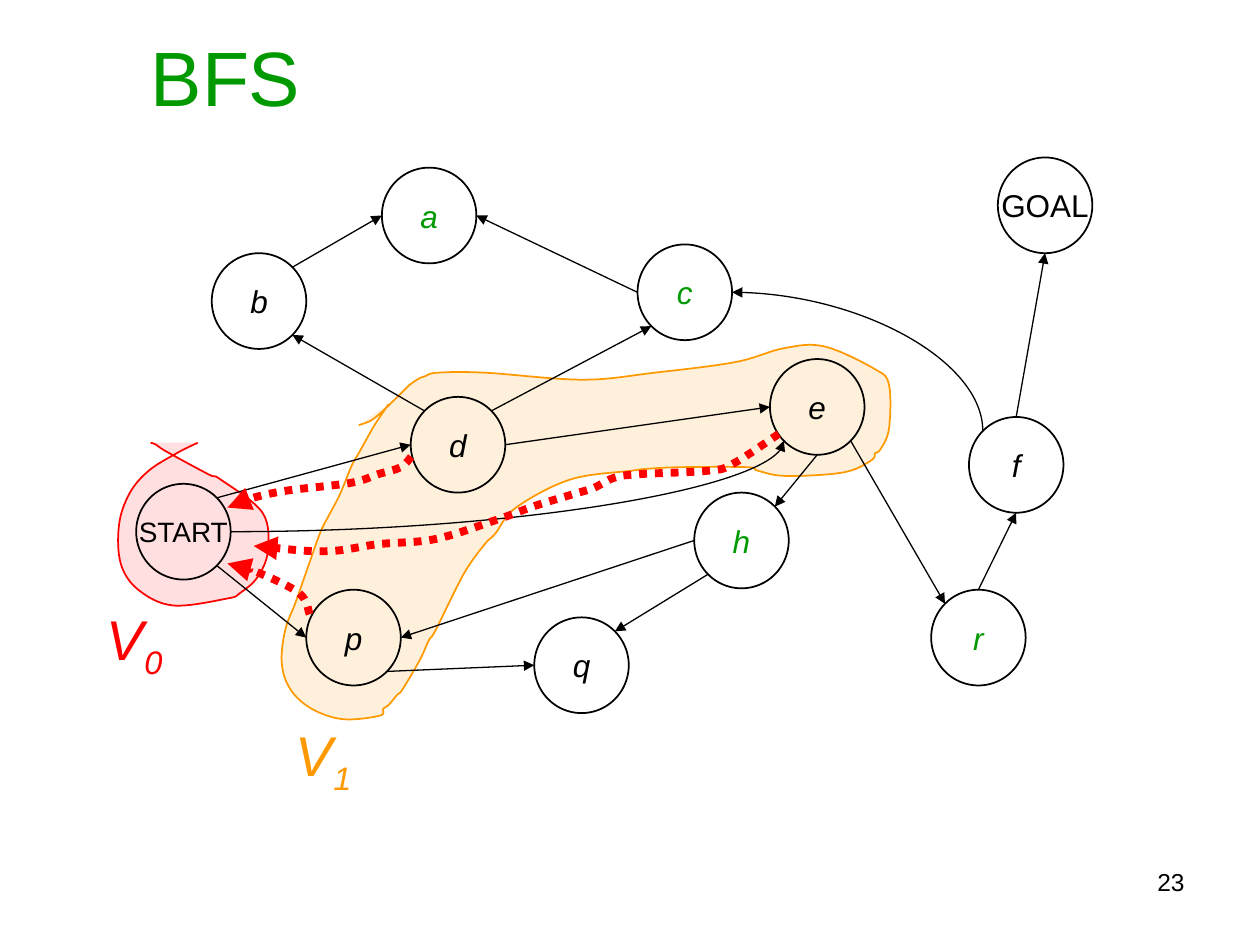
from math import cos, radians, sin

from lxml.etree import SubElement
from pptx import Presentation
from pptx.dml.color import RGBColor
from pptx.enum.dml import MSO_LINE
from pptx.enum.shapes import MSO_CONNECTOR as Link, MSO_SHAPE as Preset
from pptx.enum.text import MSO_ANCHOR as Anchor, PP_ALIGN as Align
from pptx.oxml.ns import qn
from pptx.util import Pt

BLACK = RGBColor(0x00, 0x00, 0x00)
GREEN = RGBColor(0x00, 0x99, 0x00)
RED = RGBColor(0xFF, 0x00, 0x00)
ORANGE = RGBColor(0xFF, 0x99, 0x00)
PALE_RED = RGBColor(0xFF, 0xDF, 0xDF)
PALE_ORANGE = RGBColor(0xFF, 0xF0, 0xDB)


def add_curve(shapes, knots, color, width):
    points = [(Pt(x), Pt(y)) for x, y in knots]
    builder = shapes.build_freeform(*points[0])
    builder.add_line_segments(points[1:], close=False)
    curve = builder.convert_to_shape()
    curve.shadow.inherit = False
    curve.fill.background()
    curve.line.color.rgb = color
    curve.line.width = Pt(width)
    outline = next(curve._element.iter(qn("a:path")))
    spots = [(int(pt.get("x")), int(pt.get("y"))) for pt in outline.iter(qn("a:pt"))]
    spots = [spots[0], *spots, spots[-1]]
    for segment in outline.findall(qn("a:lnTo")):
        outline.remove(segment)
    for before, start, end, after in zip(spots, spots[1:], spots[2:], spots[3:]):
        leave = [s + (e - b) / 6 for b, s, e in zip(before, start, end)]
        arrive = [e - (a - s) / 6 for s, e, a in zip(start, end, after)]
        bezier = SubElement(outline, qn("a:cubicBezTo"))
        for x, y in (leave, arrive, end):
            SubElement(bezier, qn("a:pt"), x=str(round(x)), y=str(round(y)))
    return curve


def write(box, texts, size, color, align, anchor, wrap=True, italic=False):
    frame = box.text_frame
    frame.word_wrap = wrap
    frame.vertical_anchor = anchor
    para = frame.paragraphs[0]
    para.alignment = align
    look = {"name": "Arial", "size": Pt(size), "italic": italic}
    for text in texts:
        span = para.add_run()
        span.text = text
        for key, value in look.items():
            setattr(span.font, key, value)
        span.font.color.rgb = color
    return para


deck = Presentation()
deck.slide_width, deck.slide_height = Pt(720), Pt(540)
page = deck.slides.add_slide(deck.slide_layouts[5])
shapes = page.shapes

title = shapes.title
place = {"left": 12, "top": 6, "width": 234, "height": 74}
for key, value in place.items():
    setattr(title, key, Pt(value))
write(title, ["BFS"], 44, GREEN, Align.CENTER, Anchor.MIDDLE)

level_one = [
    (222, 231), (214, 243), (210, 250), (205, 259), (201, 266), (194, 283),
    (185, 300), (182, 307), (176, 324), (169, 344), (163, 360), (161, 379),
    (166, 394), (178, 405), (196, 411), (217, 409), (219, 405), (222, 403),
    (227, 397), (230, 394), (240, 377), (245, 366), (249, 360), (265, 328),
    (277, 311), (283, 305), (295, 290), (326, 274), (361, 269), (369, 268),
    (389, 267), (427, 267), (433, 269), (449, 272), (482, 270), (498, 263),
    (500, 259), (503, 257), (508, 245), (508, 220), (500, 211), (471, 198),
    (448, 199), (420, 207), (374, 213), (333, 217), (277, 213), (250, 213),
    (243, 215), (240, 216), (234, 220), (229, 225), (214, 239), (205, 243),
]
level_zero = [
    (113, 253), (101, 259), (85, 269), (74, 282), (68, 300), (69, 322),
    (79, 337), (99, 346), (130, 342), (137, 339), (147, 330), (153, 315),
    (150, 293), (126, 274), (119, 271), (95, 258), (89, 254), (86, 253),
]
for knots, fill, outline_color in (
    (level_one, PALE_ORANGE, ORANGE),
    (level_zero, PALE_RED, RED),
):
    region = add_curve(shapes, knots, outline_color, 1)
    region.fill.solid()
    region.fill.fore_color.rgb = fill

node_width, node_height = 54, 54.7
nodes = {
    "START": (77.8, 276.5), "GOAL": (570.2, 90), "d": (234.7, 226.8),
    "b": (121, 144.7), "p": (175, 337), "q": (305.3, 352.8),
    "c": (364.3, 139.7), "e": (440, 205.2), "h": (396.7, 281.5),
    "a": (218.2, 95.8), "f": (553.7, 238.3), "r": (532.1, 337),
}
for name, (left, top) in nodes.items():
    node = shapes.add_shape(
        Preset.FLOWCHART_CONNECTOR, Pt(left), Pt(top), Pt(node_width), Pt(node_height))
    node.shadow.inherit = False
    node.fill.background()
    node.line.color.rgb = BLACK
    node.line.width = Pt(1)
    color = GREEN if name in "achr" else BLACK
    size = 16 if name == "START" else 18
    write(node, [name], size, color, Align.CENTER, Anchor.MIDDLE,
          wrap=False, italic=len(name) == 1)

compass = {side: radians(45 * step) for step, side in
           enumerate(["E", "SE", "S", "SW", "W", "NW", "N", "NE"])}
edges = [
    ("START", "SE", "p", "W"), ("p", "SE", "q", "W"), ("h", "SW", "q", "NE"),
    ("h", "W", "p", "E"), ("e", "S", "h", "NE"), ("e", "SE", "r", "NW"),
    ("r", "N", "f", "S"), ("f", "N", "GOAL", "S"), ("START", "NE", "d", "W"),
    ("d", "NW", "b", "SE"), ("b", "NE", "a", "W"), ("c", "W", "a", "E"),
    ("d", "NE", "c", "SW"), ("d", "E", "e", "W"),
    ("c", "E", "f", "NW"), ("START", "E", "e", "SW"),
]
curved = {("c", "f"): "headEnd", ("START", "e"): "tailEnd"}
arrows = []
for source, source_side, target, target_side in edges:
    ends = []
    for name, side in ((source, source_side), (target, target_side)):
        left, top = nodes[name]
        ends += [Pt(left + node_width / 2 * (1 + cos(compass[side]))),
                 Pt(top + node_height / 2 * (1 + sin(compass[side])))]
    bent = (source, target) in curved
    edge = shapes.add_connector(Link.CURVE if bent else Link.STRAIGHT, *ends)
    edge.line.color.rgb = BLACK
    edge.line.width = Pt(0.75)
    properties = edge._element.spPr
    if bent:
        properties.find(qn("a:prstGeom")).set("prst", "curvedConnector2")
    SubElement(properties, qn("a:effectLst"))
    arrows.append((edge, curved.get((source, target), "tailEnd")))

trails = [
    [(235, 261), (229, 267), (216, 271), (200, 276), (160, 281), (133, 288), (130, 290)],
    [(177, 351), (171, 339), (147, 327), (130, 322)],
    [(445, 248), (419, 265), (405, 269), (365, 271), (351, 273), (339, 279),
     (329, 282), (306, 289), (284, 297), (249, 308), (216, 311), (186, 315), (145, 312)],
]
for knots in trails:
    trail = add_curve(shapes, knots, RED, 4.5)
    trail.line.dash_style = MSO_LINE.ROUND_DOT
    arrows.append((trail, "tailEnd"))

for item, end in arrows:
    SubElement(item.line._get_or_add_ln(), qn(f"a:{end}"), type="triangle")

for index, left, top, color in (("0", 54, 342, RED), ("1", 162, 408, ORANGE)):
    label = shapes.add_textbox(Pt(left), Pt(top), Pt(66), Pt(51))
    para = write(label, ["V", index], 32, color, Align.LEFT, Anchor.TOP, italic=True)
    para.runs[1].font._element.set("baseline", "-25000")

number = shapes.add_textbox(Pt(348), Pt(492), Pt(336), Pt(37.5))
write(number, ["23"], 14, BLACK, Align.RIGHT, Anchor.TOP)

deck.save("out.pptx")
